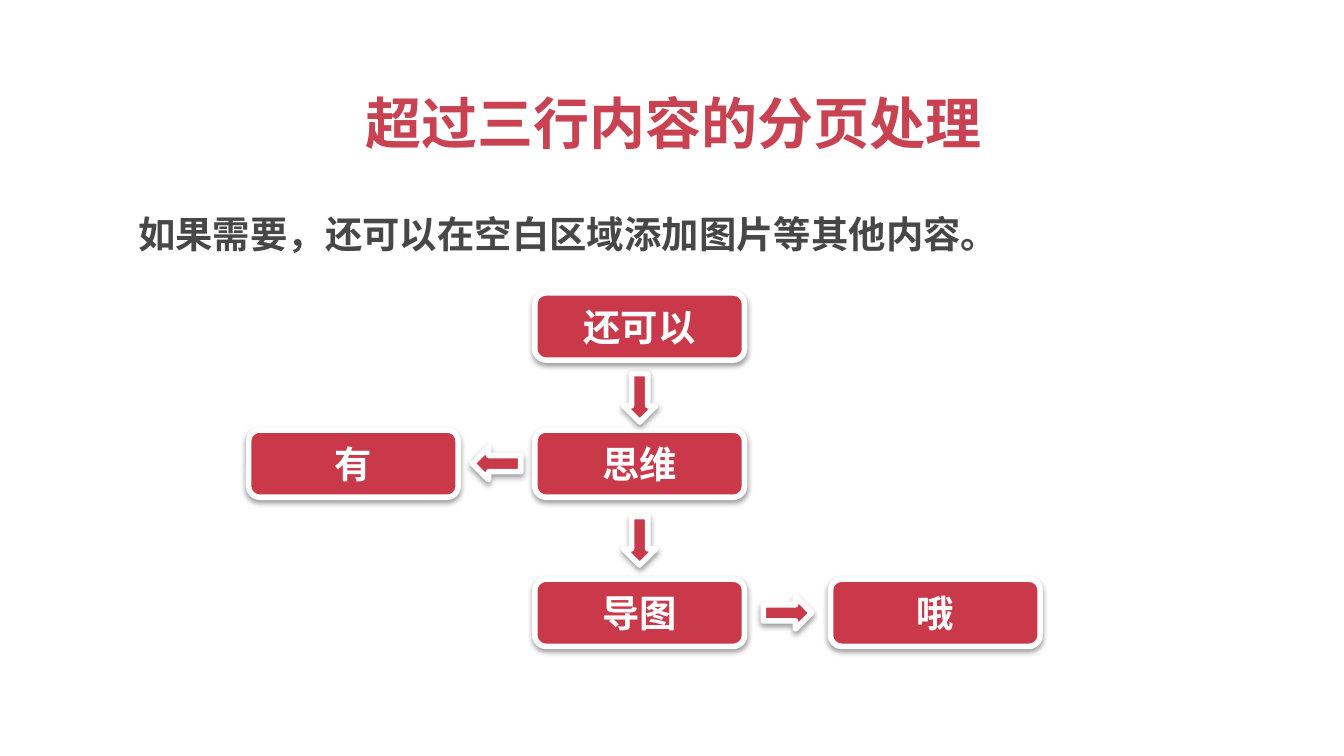
from lxml import etree
from pptx import Presentation, util as u
from pptx.dml.color import RGBColor
from pptx.enum import shapes, text
from pptx.oxml import ns

RED = RGBColor(0xC9, 0x39, 0x4A)
ROSE = RGBColor(0xC9, 0x42, 0x51)
GREY = RGBColor(0x47, 0x47, 0x47)
WHITE = RGBColor(0xFF, 0xFF, 0xFF)

WIDTH = u.Inches(10)
HEIGHT = WIDTH * 9 // 16

# Centres of the flow chart's columns and rows, in inches
COLS = (2.63, 4.76, 6.96)
ROWS = (2.43, 3.45, 4.56)
BOX = (1.56, 0.5)
ARROW = (0.24, 0.36)
DROP = 0.02  # vertical arrows sit just below the midpoint

NODES = {
    "还可以": (1, 0),
    "有": (0, 1),
    "思维": (1, 1),
    "导图": (1, 2),
    "哦": (2, 2),
}
LINKS = [("还可以", "思维"), ("思维", "导图"), ("思维", "有"), ("导图", "哦")]


def write(frame, words, align, **form):
    frame.word_wrap = True
    para = frame.paragraphs[0]
    para.alignment = align
    run = para.add_run()
    run.text = words
    color = form.pop("color")
    for key, value in form.items():
        setattr(run.font, key, value)
    run.font.color.rgb = color
    return para


def add_text(slide, area, words, align, **form):
    box = slide.shapes.add_textbox(*map(u.Inches, area))
    return write(box.text_frame, words, align, name="Arial", bold=True, **form)


def add_shadow(shape):
    """Give the shape a soft black shadow straight below it."""
    shape.shadow.inherit = False
    effects = shape._element.spPr.find(ns.qn("a:effectLst"))
    outer = etree.SubElement(
        effects, ns.qn("a:outerShdw"), blurRad=str(u.Pt(3.1)),
        dist=str(u.Pt(1.6)), dir="5400000", rotWithShape="0")
    color = etree.SubElement(outer, ns.qn("a:srgbClr"), val="000000")
    etree.SubElement(color, ns.qn("a:alpha"), val="38000")


def add_block(slide, kind, center, size):
    """Draw a red shape with a white outline around its centre."""
    corner = [mid - side / 2 for mid, side in zip(center, size)]
    shape = slide.shapes.add_shape(kind, *map(u.Inches, (*corner, *size)))
    shape.fill.solid()
    shape.fill.fore_color.rgb = RED
    shape.line.color.rgb = WHITE
    shape.line.width = u.Pt(3)
    add_shadow(shape)
    return shape


def spot(node):
    col, row = NODES[node]
    return COLS[col], ROWS[row]


def add_node(slide, words):
    shape = add_block(slide, shapes.MSO_SHAPE.ROUNDED_RECTANGLE,
                      spot(words), BOX)
    shape.text_frame.vertical_anchor = text.MSO_ANCHOR.MIDDLE
    write(shape.text_frame, words, text.PP_ALIGN.CENTER,
          name="Calibri", size=u.Pt(20), bold=True, color=WHITE)


def add_arrow(slide, start, end):
    """Place a block arrow midway between two nodes, turned to the second."""
    (x1, y1), (x2, y2) = spot(start), spot(end)
    turn = 0 if x1 == x2 else 90 if x2 < x1 else 270
    drop = 0 if turn else DROP
    center = ((x1 + x2) / 2, (y1 + y2) / 2 + drop)
    shape = add_block(slide, shapes.MSO_SHAPE.DOWN_ARROW, center, ARROW)
    shape.rotation = turn


def main():
    deck = Presentation()
    deck.slide_width, deck.slide_height = WIDTH, HEIGHT
    slide = deck.slides.add_slide(deck.slide_layouts[6])

    para = add_text(slide, (0.43, 1.52, 8.9, 0.44),
                    "如果需要，还可以在空白区域添加图片等其他内容。",
                    text.PP_ALIGN.LEFT, size=u.Pt(20), color=GREY)
    para.level = 1
    para._p.get_or_add_pPr().set("marL", str(u.Inches(0.5)))
    add_text(slide, (0.51, 0.61, 9, 0.63), "超过三行内容的分页处理",
             text.PP_ALIGN.CENTER, size=u.Pt(30), color=ROSE)

    for words in NODES:
        add_node(slide, words)
    for start, end in LINKS:
        add_arrow(slide, start, end)
    deck.save("out.pptx")


if __name__ == "__main__":
    main()
